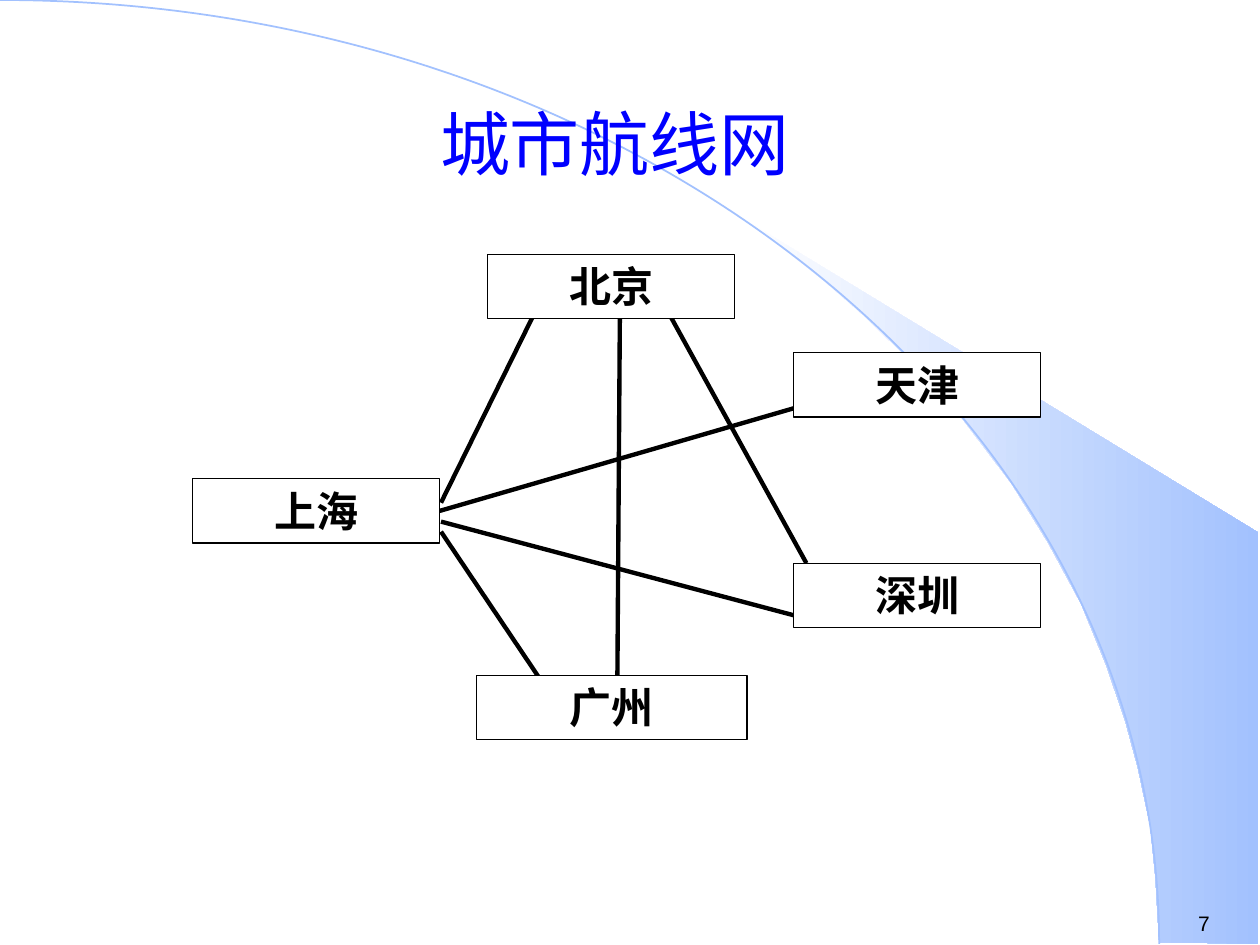
from lxml.etree import SubElement
from pptx import Presentation
from pptx.dml.color import RGBColor
from pptx.enum.shapes import MSO_CONNECTOR, MSO_SHAPE
from pptx.enum.text import MSO_ANCHOR, PP_ALIGN
from pptx.oxml.ns import qn
from pptx.util import Inches, Pt

COLORS = {"white": "FFFFFF", "sky": "A2C1FE", "title": "0000FF", "ink": "000000"}

# Swoosh outline, in inches from the corner of the backdrop
SWOOSH = [(9.2, 7.48), (9.99, 7.49), (9.99, 4.23), (5.89, 1.73), (6.24, 1.99),
          (6.53, 2.22), (6.85, 2.5), (7.16, 2.8), (7.62, 3.3), (8.03, 3.84),
          (8.32, 4.31), (8.58, 4.79), (8.78, 5.28), (8.93, 5.72), (9.03, 6.09),
          (9.13, 6.56), (9.17, 6.96)]
# Quarter arc: start, two control points, end
ARC = [(0, 0), (5.08, 0), (9.2, 3.35), (9.2, 7.49)]

# City: left, top, width, in inches from the corner of the network
CITY_HEIGHT = 0.51
CITIES = {"天津": (4.77, 0.78, 1.96), "北京": (2.34, 0, 1.96), "上海": (0, 1.78, 1.96),
          "广州": (2.25, 3.34, 2.15), "深圳": (4.77, 2.45, 1.96)}

# Air routes: from and to, in inches from the corner of the network
ROUTES = {("北京", "上海"): (2.71, 0.47, 1.97, 1.97),
          ("上海", "广州"): (1.97, 2.2, 2.81, 3.45),
          ("北京", "广州"): (3.39, 0.47, 3.37, 3.34),
          ("上海", "天津"): (1.97, 2.04, 5.15, 1.11),
          ("上海", "深圳"): (1.97, 2.12, 4.87, 2.89),
          ("北京", "深圳"): (3.78, 0.47, 4.87, 2.45)}


def rgb(name):
    return RGBColor.from_string(COLORS[name])


def write_text(shape, text, size, font="Times New Roman", color="ink", bold=False,
               align=PP_ALIGN.CENTER, anchor=MSO_ANCHOR.MIDDLE):
    frame = shape.text_frame
    frame.word_wrap = True
    frame.vertical_anchor = anchor
    paragraph = frame.paragraphs[0]
    paragraph.alignment = align
    run = paragraph.add_run()
    run.text = text
    run.font.size = Pt(size)
    run.font.name = font
    run.font.bold = bold
    run.font.color.rgb = rgb(color)


def add_label(slide, left, top, width, height, text, size, **style):
    label = slide.shapes.add_textbox(left, top, width, height)
    write_text(label, text, size, **style)


def add_outline(group, left, top, points, close):
    corners = [(left + Inches(x), top + Inches(y)) for x, y in points]
    builder = group.shapes.build_freeform(*corners[0])
    builder.add_line_segments(corners[1:], close=close)
    outline = builder.convert_to_shape()
    outline.shadow.inherit = False
    return outline


def bend(outline):
    """Turn the three straight segments of an outline into one Bezier curve."""
    segments = list(outline._element.iter(qn("a:lnTo")))
    curve = SubElement(segments[0].getparent(), qn("a:cubicBezTo"))
    for segment in segments:
        curve.append(segment[0])
        segment.getparent().remove(segment)


def add_backdrop(slide, left, top):
    backdrop = slide.shapes.add_group_shape()

    # Swoosh fading in from the left
    swoosh = add_outline(backdrop, left, top, SWOOSH, close=True)
    swoosh.fill.gradient()
    swoosh.fill.gradient_angle = 0
    for stop, position, color in zip(swoosh.fill.gradient_stops, (0, 1), ("white", "sky")):
        stop.position = position
        stop.color.rgb = rgb(color)
    swoosh.line.fill.background()

    # Quarter arc
    arc = add_outline(backdrop, left, top, ARC, close=False)
    bend(arc)
    arc.fill.background()
    arc.line.color.rgb = rgb("sky")
    arc.line.width = Pt(1)


def add_network(slide, left, top):
    network = slide.shapes.add_group_shape()

    # Routes lie behind the cities
    routes = {}
    for ends, (x1, y1, x2, y2) in ROUTES.items():
        route = network.shapes.add_connector(
            MSO_CONNECTOR.STRAIGHT, left + Inches(x1), top + Inches(y1),
            left + Inches(x2), top + Inches(y2))
        route.line.color.rgb = rgb("ink")
        route.line.width = Pt(2.5)
        SubElement(route._element.spPr, qn("a:effectLst"))
        routes[ends] = route

    # Cities
    cities = {}
    for name, (x, y, width) in CITIES.items():
        city = network.shapes.add_shape(
            MSO_SHAPE.RECTANGLE, left + Inches(x), top + Inches(y),
            Inches(width), Inches(CITY_HEIGHT))
        city.shadow.inherit = False
        city.fill.solid()
        city.fill.fore_color.rgb = rgb("white")
        city.line.color.rgb = rgb("ink")
        city.line.width = Pt(0.75)
        write_text(city, name, 24, bold=True, anchor=MSO_ANCHOR.TOP)
        cities[name] = city

    # Only this route leaves from the middle of a side
    routes["上海", "天津"].begin_connect(cities["上海"], 3)


def main():
    prs = Presentation()
    prs.slide_width, prs.slide_height = Inches(10), Inches(7.5)
    slide = prs.slides.add_slide(prs.slide_layouts[6])
    add_backdrop(slide, Inches(0), Inches(0))
    # Page number
    add_label(slide, Inches(9.41), Inches(7.18), Inches(0.59), Inches(0.3), "7", 12,
              font="Arial", align=PP_ALIGN.LEFT, anchor=MSO_ANCHOR.TOP)
    # Title
    add_label(slide, Inches(0.83), Inches(0.76), Inches(8.1), Inches(0.75),
              "城市航线网", 40, color="title")
    add_network(slide, Inches(1.53), Inches(2.02))
    prs.save("out.pptx")


if __name__ == "__main__":
    main()
